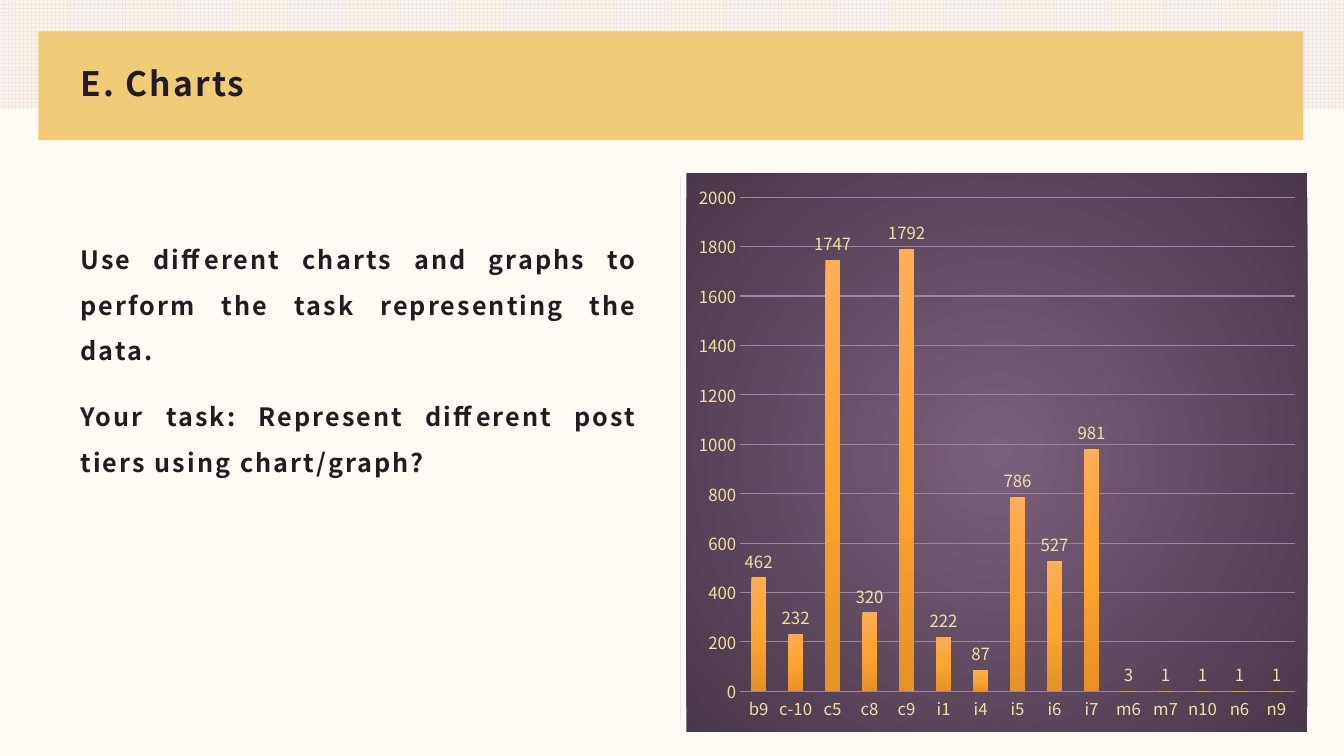
from lxml import etree
from pptx import Presentation
from pptx.chart.data import CategoryChartData
from pptx.dml.color import RGBColor
from pptx.enum.chart import XL_CHART_TYPE as ChartType, XL_LABEL_POSITION as LabelPosition
from pptx.enum.chart import XL_TICK_MARK as TickMark
from pptx.enum.dml import MSO_PATTERN as Pattern
from pptx.enum.shapes import MSO_CONNECTOR as Connector, MSO_SHAPE as Shape
from pptx.enum.text import MSO_ANCHOR as Anchor, MSO_AUTO_SIZE as AutoSize, PP_ALIGN as Align
from pptx.oxml import parse_xml
from pptx.oxml.ns import nsdecls, qn
from pptx.util import Cm, Pt

FONT = "Noto Sans CJK JP"
INK, GOLD, CREAM, LILAC = "231B23", "F0CC79", "FCF5E5", "EBE6EB"
CHART_TEXT, GRID = "F5DCA4", "9D819D"
WIDTH, HEIGHT = 33.87, 19.05

TASK = [
    "Use different charts and graphs to perform the task representing the data.",
    "Your task: Represent different post tiers using chart/graph?",
]
POST_TIERS = {
    "b9": 462, "c-10": 232, "c5": 1747, "c8": 320, "c9": 1792,
    "i1": 222, "i4": 87, "i5": 786, "i6": 527, "i7": 981,
    "m6": 3, "m7": 1, "n10": 1, "n6": 1, "n9": 1,
}


def color(value):
    return RGBColor.from_string(value)


def format_font(font, size, value, bold=False):
    font.name, font.size, font.bold = FONT, Pt(size), bold
    font.color.rgb = color(value)


def format_paragraph(paragraph, size, line_spacing):
    paragraph.line_spacing = line_spacing
    for run in paragraph.runs:
        format_font(run.font, size, INK, bold=True)
        run.font._element.set("spc", "150")


def add_rectangle(slide, left, top, width, height):
    shape = slide.shapes.add_shape(Shape.RECTANGLE, Cm(left), Cm(top), Cm(width), Cm(height))
    shape.shadow.inherit = False
    shape.line.fill.background()
    return shape


def set_gradient(chart_format, stops, direction):
    """Fill with (percent, colour) stops along the given direction XML."""
    chart_format.fill.solid()
    properties = chart_format.fill._xPr
    stop_xml = "".join(
        f'<a:gs pos="{percent * 1000}"><a:srgbClr val="{value}"/></a:gs>' for percent, value in stops
    )
    gradient = parse_xml(f'<a:gradFill {nsdecls("a")}><a:gsLst>{stop_xml}</a:gsLst>{direction}</a:gradFill>')
    properties.replace(properties.find(qn("a:solidFill")), gradient)


def add_backdrop(slide):
    slide.background.fill.solid()
    slide.background.fill.fore_color.rgb = color("FEFBF5")
    band = add_rectangle(slide, 0, 0, WIDTH, 2.74)
    band.fill.patterned()
    band.fill.pattern = Pattern.LARGE_GRID
    band.fill.fore_color.rgb = color(LILAC)
    band.fill.back_color.rgb = color(CREAM)


def add_title_banner(slide, left, top, width, height):
    banner = add_rectangle(slide, left, top, width, height)
    banner.fill.solid()
    banner.fill.fore_color.rgb = color(GOLD)
    title = slide.shapes.title
    banner._element.addnext(title._element)
    title.left, title.top = Cm(left + 0.8), Cm(top + 0.56)
    title.width, title.height = Cm(width - 1.6), Cm(height - 1.12)
    frame = title.text_frame
    frame.text = "E. Charts"
    frame.auto_size = AutoSize.NONE
    frame.vertical_anchor = Anchor.MIDDLE
    frame.paragraphs[0].alignment = Align.LEFT
    format_paragraph(frame.paragraphs[0], 24, 0.9)


def add_divider(slide, x, top, bottom):
    divider = slide.shapes.add_connector(Connector.STRAIGHT, Cm(x), Cm(top), Cm(x), Cm(bottom))
    divider.line.color.rgb = color(LILAC)
    divider.line.width = Pt(0.5)
    etree.SubElement(divider._element.spPr, qn("a:effectLst"))


def add_task(slide, left, top, width, height):
    frame = slide.shapes.add_textbox(Cm(left), Cm(top), Cm(width), Cm(height)).text_frame
    frame.word_wrap = True
    frame.text = "\n".join(TASK)
    for paragraph in frame.paragraphs:
        paragraph.alignment = Align.JUSTIFY
        paragraph.space_before = Pt(15)
        format_paragraph(paragraph, 18, 1.5)


def format_axis(axis):
    axis.major_tick_mark = axis.minor_tick_mark = TickMark.NONE
    axis.format.line.fill.background()
    format_font(axis.tick_labels.font, 12, CHART_TEXT)


def add_post_tier_chart(slide, left, top, width, height):
    data = CategoryChartData()
    data.categories = list(POST_TIERS)
    data.add_series("Series 1", list(POST_TIERS.values()))
    chart = slide.shapes.add_chart(
        ChartType.COLUMN_CLUSTERED, Cm(left), Cm(top), Cm(width), Cm(height), data
    ).chart
    chart.has_title = chart.has_legend = False
    format_font(chart.font, 10, INK)

    format_axis(chart.category_axis)
    values = chart.value_axis
    format_axis(values)
    values.minimum_scale, values.maximum_scale, values.major_unit = 0, 2000, 200
    values.major_gridlines.format.line.color.rgb = color(GRID)
    values.major_gridlines.format.line.width = Pt(0.75)

    plot = chart.plots[0]
    plot.gap_width = 150
    plot.vary_by_categories = False
    plot.has_data_labels = True
    plot.data_labels.show_value = True
    plot.data_labels.position = LabelPosition.OUTSIDE_END
    format_font(plot.data_labels.font, 12, CHART_TEXT)
    set_gradient(
        plot.series[0].format,
        [(0, "FFAE57"), (50, "FFA42F"), (100, "E59227")],
        '<a:lin ang="5400000" scaled="0"/>',
    )
    add_chart_background(chart)


def add_chart_background(chart):
    properties = parse_xml(
        f'<c:spPr {nsdecls("c", "a")}><a:gradFill><a:gsLst>'
        '<a:gs pos="0"><a:srgbClr val="7C5F7C"/></a:gs>'
        '<a:gs pos="100000"><a:srgbClr val="493849"/></a:gs></a:gsLst>'
        '<a:path path="circle"><a:fillToRect l="50000" t="50000" r="50000" b="50000"/></a:path>'
        "</a:gradFill><a:ln><a:noFill/></a:ln></c:spPr>"
    )
    chart._chartSpace.find(qn("c:chart")).addnext(properties)


def build_chart_slide(presentation):
    slide = presentation.slides.add_slide(presentation.slide_layouts[5])
    add_backdrop(slide)
    add_title_banner(slide, 0.97, 0.79, 31.88, 2.74)
    add_divider(slide, 17.15, 4.47, 18.11)
    add_task(slide, 1.78, 5.66, 14.55, 10.97)
    add_post_tier_chart(slide, 17.3, 4.37, 15.65, 14.07)


def main():
    presentation = Presentation()
    presentation.slide_width, presentation.slide_height = Cm(WIDTH), Cm(HEIGHT)
    build_chart_slide(presentation)
    presentation.save("out.pptx")


if __name__ == "__main__":
    main()
